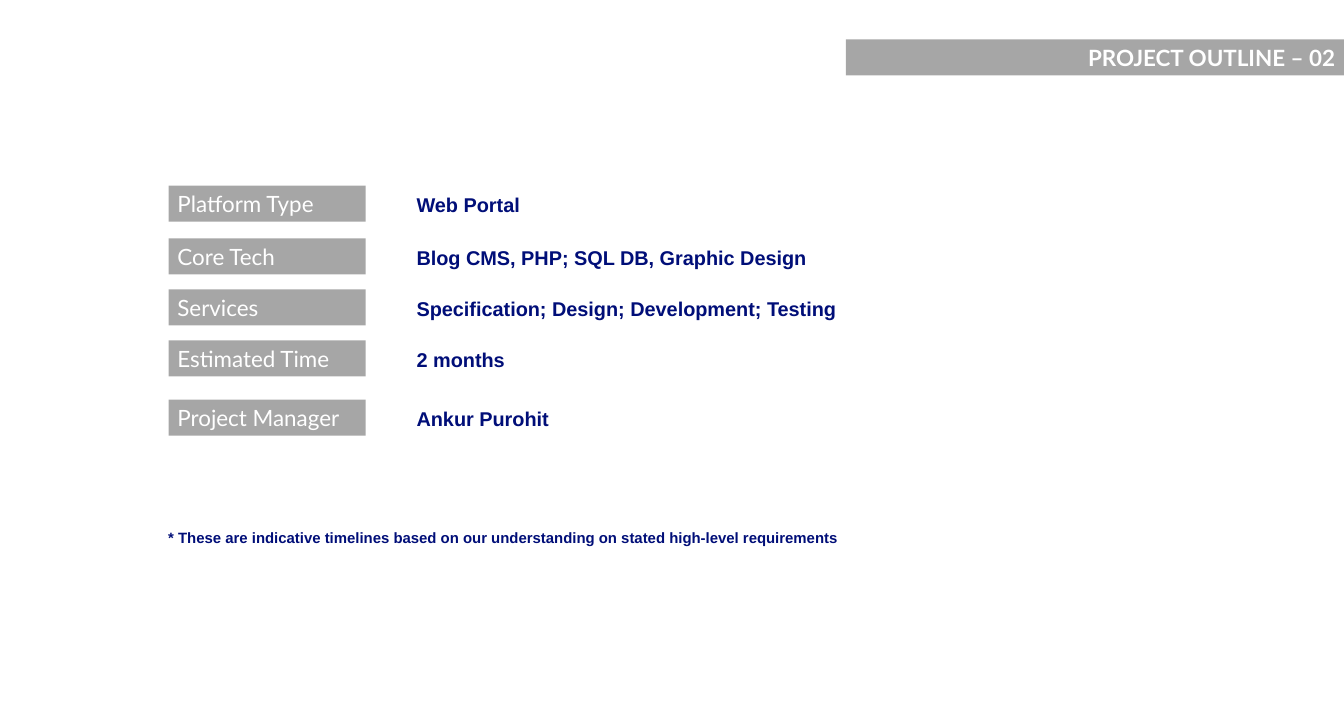
from lxml import etree
from pptx import Presentation
from pptx.dml.color import RGBColor
from pptx.enum.shapes import MSO_SHAPE
from pptx.enum.text import MSO_ANCHOR, MSO_AUTO_SIZE, PP_ALIGN
from pptx.oxml.ns import qn
from pptx.util import Cm, Pt

BLACK = RGBColor(0x00, 0x00, 0x00)
WHITE = RGBColor(0xFF, 0xFF, 0xFF)
NAVY = RGBColor(0x00, 0x0E, 0x78)

BAR_OPACITY = 35
BAR_HEIGHT = 1.02
LABEL_LEFT, LABEL_WIDTH = 4.78, 5.59
DETAIL_LEFT, DETAIL_WIDTH, DETAIL_HEIGHT = 11.56, 15.65, 0.94
DETAIL_DROP = 0.08

OUTLINE = [
    (5.26, "Platform Type", "Web Portal"),
    (6.76, "Core Tech", "Blog CMS, PHP; SQL DB, Graphic Design"),
    (8.2, "Services", "Specification; Design; Development; Testing"),
    (9.65, "Estimated Time", "2 months"),
    (11.33, "Project Manager", "Ankur Purohit"),
]


def write_text(sp, text, font, size, color, bold, align=PP_ALIGN.LEFT, anchor=MSO_ANCHOR.TOP):
    tf = sp.text_frame
    tf.word_wrap = True
    tf.auto_size = MSO_AUTO_SIZE.SHAPE_TO_FIT_TEXT
    tf.vertical_anchor = anchor
    p = tf.paragraphs[0]
    p.text = text
    p.alignment = align
    p.font.name = font
    p.font.size = Pt(size)
    p.font.bold = bold
    p.font.color.rgb = color


def add_bar(slide, left, top, width, text, bold=False, **layout):
    """Add a translucent black bar with white text."""
    sp = slide.shapes.add_shape(
        MSO_SHAPE.RECTANGLE, Cm(left), Cm(top), Cm(width), Cm(BAR_HEIGHT))
    sp.shadow.inherit = False
    sp.fill.solid()
    sp.fill.fore_color.rgb = BLACK
    color = sp.fill._xPr.find(qn("a:solidFill"))[0]
    etree.SubElement(color, qn("a:alpha"), val=str(BAR_OPACITY * 1000))
    sp.line.fill.background()
    write_text(sp, text, "Lato", 18, WHITE, bold, **layout)


def add_note(slide, left, top, width, height, text, size):
    sp = slide.shapes.add_textbox(Cm(left), Cm(top), Cm(width), Cm(height))
    write_text(sp, text, "Arial", size, NAVY, True)


def main():
    prs = Presentation()
    prs.slide_width, prs.slide_height = Cm(38.1), Cm(20.32)
    slide = prs.slides.add_slide(prs.slide_layouts[6])

    add_bar(slide, 23.98, 1.12, 14.12, "PROJECT OUTLINE – 02", bold=True,
            align=PP_ALIGN.RIGHT, anchor=MSO_ANCHOR.MIDDLE)
    for top, label, detail in OUTLINE:
        add_bar(slide, LABEL_LEFT, top, LABEL_WIDTH, label)
        add_note(slide, DETAIL_LEFT, top + DETAIL_DROP, DETAIL_WIDTH, DETAIL_HEIGHT,
                 detail, 16)
    add_note(slide, 4.52, 14.86, 23.44, 0.76,
             "* These are indicative timelines based on our understanding "
             "on stated high-level requirements", 12)

    prs.save("out.pptx")


if __name__ == "__main__":
    main()
